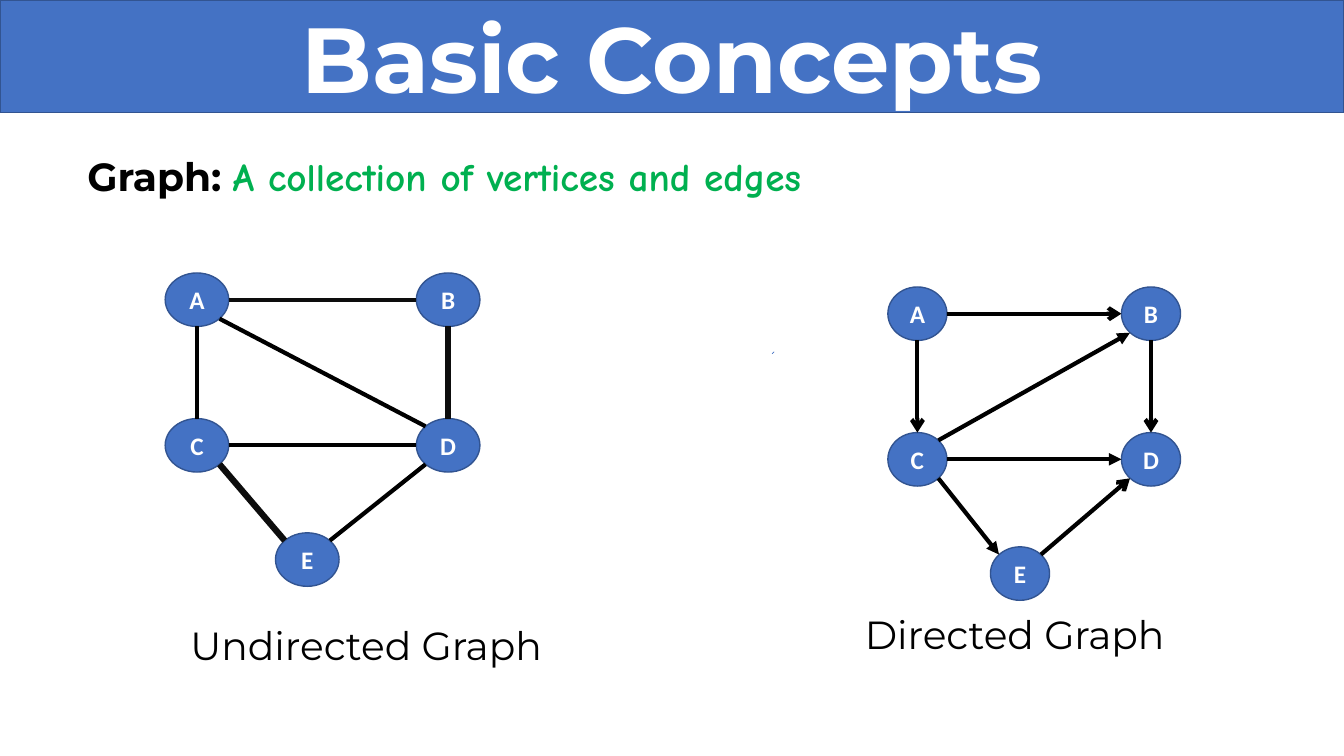
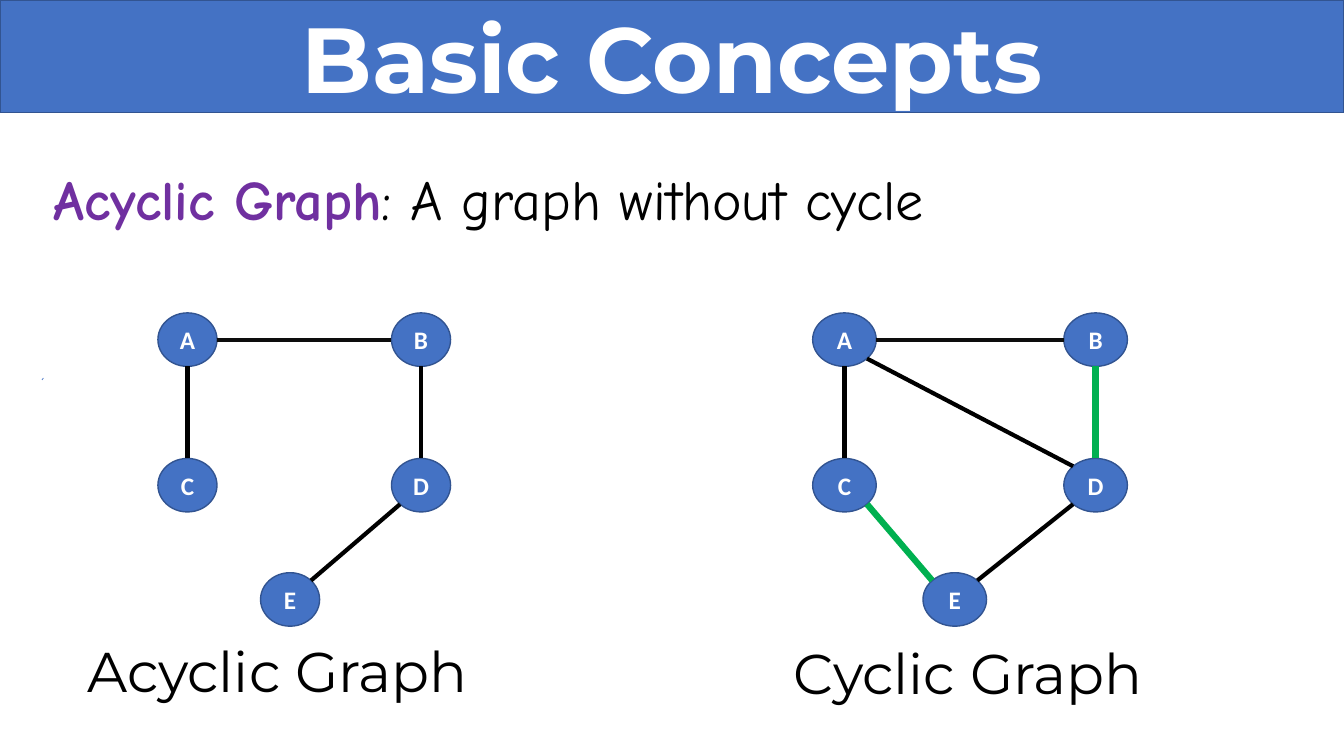
import pptx
import pptx.dml.color
import pptx.enum.shapes
import pptx.enum.text
import pptx.oxml.ns
import pptx.util
import lxml.etree

Pt = pptx.util.Pt

# Shared look
BLUE, RIM, WHITE, BLACK = "4472C4", "325491", "FFFFFF", "000000"
SOFT, GREEN, PURPLE = "0D0D0D", "00B050", "7030A0"
HEAD, HAND, BODY = "Montserrat", "Comic Neue", "Calibri"
WIDE, HIGH, BAND = 960, 540, 80.5

# Graph layout: offsets from node A, for full-width graphs
NODE_W, NODE_H = 45.4, 38.2
SPOTS = {"A": (0, 0), "B": (179.4, 0), "C": (0, 104),
         "D": (179.4, 104), "E": (78.8, 185.6)}
SLIM = 0.93

# Direction of an edge -> site where it leaves an ellipse
SITES = {(1, 0): 6, (0, 1): 4, (1, 1): 5, (1, -1): 7}


def color(code):
    return pptx.dml.color.RGBColor.from_string(code)


def add_runs(para, runs):
    for text, font, size, code, bold in runs:
        run = para.add_run()
        run.text = text
        run.font.name = font
        run.font.size = Pt(size)
        run.font.color.rgb = color(code)
        run.font.bold = bold


def add_box(shapes, kind, x, y, w, h, run):
    box = shapes.add_shape(kind, Pt(x), Pt(y), Pt(w), Pt(h))
    box.shadow.inherit = False
    box.fill.solid()
    box.fill.fore_color.rgb = color(BLUE)
    box.line.color.rgb = color(RIM)
    box.line.width = Pt(1)
    box.text_frame.vertical_anchor = pptx.enum.text.MSO_ANCHOR.MIDDLE
    para = box.text_frame.paragraphs[0]
    para.alignment = pptx.enum.text.PP_ALIGN.CENTER
    add_runs(para, [run])
    return box


def add_text(slide, x, y, w, h, *runs):
    frame = slide.shapes.add_textbox(Pt(x), Pt(y), Pt(w), Pt(h)).text_frame
    frame.word_wrap = True
    frame.auto_size = pptx.enum.text.MSO_AUTO_SIZE.SHAPE_TO_FIT_TEXT
    add_runs(frame.paragraphs[0], runs)


def add_line(shapes, start, end, code, width, tip=None):
    line = shapes.add_connector(pptx.enum.shapes.MSO_CONNECTOR.STRAIGHT,
                                *map(Pt, start + end))
    line.line.color.rgb = color(code)
    line.line.width = Pt(width)
    qn = pptx.oxml.ns.qn
    if tip:
        stroke = line.element.spPr.find(qn("a:ln"))
        lxml.etree.SubElement(stroke, qn("a:tailEnd"), type=tip)
    lxml.etree.SubElement(line.element.spPr, qn("a:effectLst"))
    return line


def glue(line, tag, node, site):
    joint = line.element.nvCxnSpPr.cNvCxnSpPr
    lxml.etree.SubElement(joint, pptx.oxml.ns.qn(tag),
                          id=str(node.shape_id), idx=str(site))


def sign(value):
    return (value > 0) - (value < 0)


def add_edge(shapes, nodes, pair, scale, code, width, tip):
    (tail, (x1, y1)), (head, (x2, y2)) = nodes[pair[0]], nodes[pair[1]]
    way = sign(x2 - x1), sign(y2 - y1)
    reach = 0.71 if all(way) else 1
    dx = way[0] * reach * NODE_W * scale / 2
    dy = way[1] * reach * NODE_H / 2
    line = add_line(shapes, (x1 + dx, y1 + dy), (x2 - dx, y2 - dy),
                    code, width, tip)
    glue(line, "a:stCxn", tail, SITES[way])
    glue(line, "a:endCxn", head, (SITES[way] + 4) % 8)


def add_graph(slide, left, top, scale, styles):
    """Each style is (edges, colour, width, arrowhead)."""
    shapes = slide.shapes.add_group_shape().shapes
    w = NODE_W * scale
    nodes = {}
    for name, (dx, dy) in SPOTS.items():
        x, y = left + dx * scale, top + dy
        node = add_box(shapes, pptx.enum.shapes.MSO_SHAPE.OVAL, x, y, w,
                       NODE_H, (name, BODY, 18, WHITE, True))
        nodes[name] = node, (x + w / 2, y + NODE_H / 2)
    for pairs, code, width, tip in styles:
        for pair in pairs.split():
            add_edge(shapes, nodes, pair, scale, code, width, tip)


def add_page(deck):
    slide = deck.slides.add_slide(deck.slide_layouts[6])
    add_box(slide.shapes, pptx.enum.shapes.MSO_SHAPE.RECTANGLE, 0, 0, WIDE,
            BAND, ("Basic Concepts", HEAD, 66, WHITE, True))
    return slide


def add_label(slide, x, y, size, text):
    add_text(slide, x, y, 381, size * 1.4, (text, HEAD, size, BLACK, False))


def show_kinds(deck):
    slide = add_page(deck)
    add_text(slide, 55.4, 105.1, 696, 41,
             ("Graph: ", HEAD, 28, BLACK, True),
             ("A collection of vertices and edges", HAND, 28, GREEN, True))
    add_graph(slide, 118, 195, 1, [
        ("AB", SOFT, 3, None),
        ("AC AD ED CD", BLACK, 3, None),
        ("BD CE", SOFT, 4.5, None)])
    add_graph(slide, 634.2, 205, SLIM, [
        ("AB AC ED BD", BLACK, 3, "arrow"),
        ("CB CE CD", BLACK, 3, "triangle")])
    add_line(slide.shapes, (553, 251.3), (551.5, 252.7), BLUE, 0.5)
    add_label(slide, 128.9, 440, 28, "Undirected Graph")
    add_label(slide, 610.6, 432.7, 28, "Directed Graph")


def show_cycles(deck):
    slide = add_page(deck)
    add_text(slide, 31, 113.8, 897, 55.4,
             ("Acyclic Graph", HAND, 40, PURPLE, True),
             (": A graph without cycle", HAND, 40, BLACK, False))
    add_graph(slide, 112.8, 223.5, SLIM, [
        ("AB", SOFT, 3, None),
        ("AC ED BD", BLACK, 3, None)])
    add_graph(slide, 580.5, 223.5, 1, [
        ("AB", SOFT, 3, None),
        ("AC AD ED", BLACK, 3, None),
        ("BD CE", GREEN, 4.5, None)])
    add_line(slide.shapes, (31, 270), (30, 271.4), BLUE, 0.5)
    add_label(slide, 55.4, 451.4, 40, "Acyclic Graph")
    add_label(slide, 559.4, 452.2, 40, "Cyclic Graph")


def main():
    deck = pptx.Presentation()
    deck.slide_width, deck.slide_height = Pt(WIDE), Pt(HIGH)
    show_kinds(deck)
    show_cycles(deck)
    deck.save("out.pptx")


if __name__ == "__main__":
    main()
